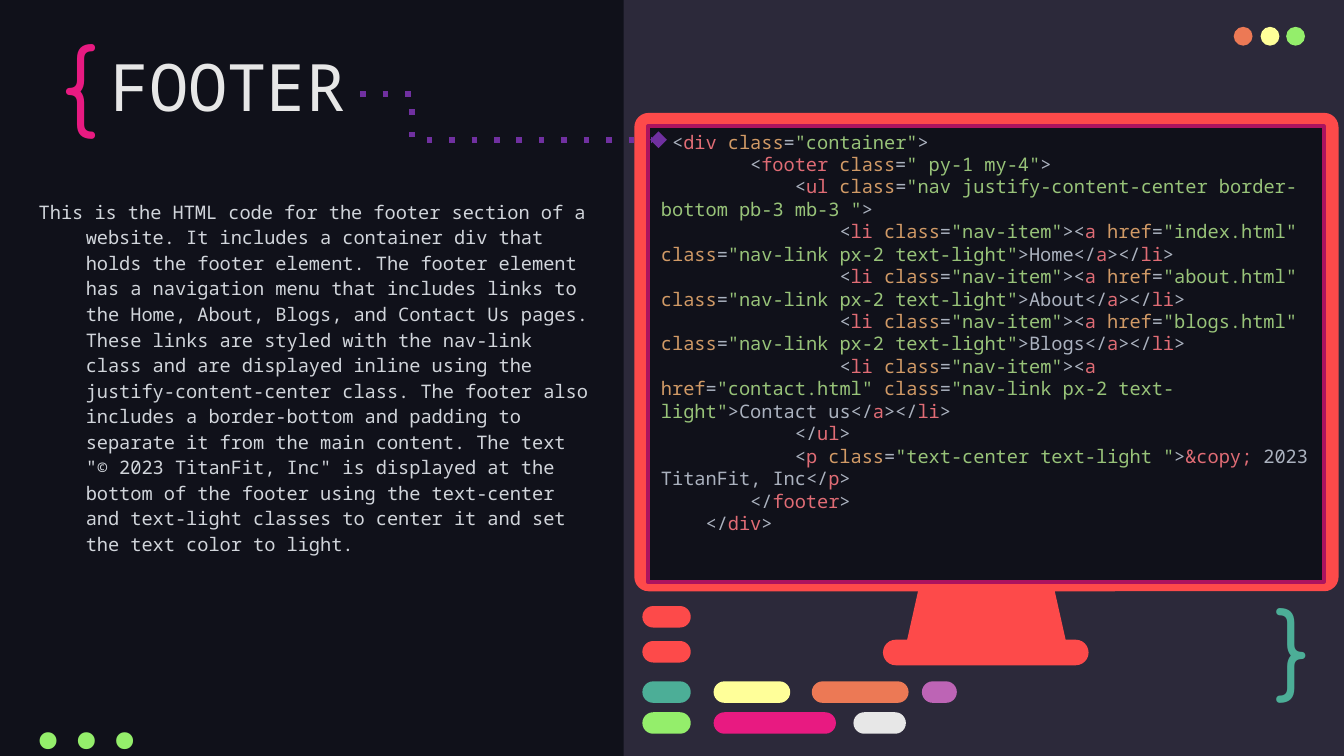
from lxml import etree
from pptx import Presentation
from pptx.dml.color import RGBColor
from pptx.enum.shapes import MSO_CONNECTOR, MSO_SHAPE
from pptx.enum.text import MSO_ANCHOR, PP_ALIGN
from pptx.oxml.ns import qn
from pptx.util import Inches, Pt

RECTANGLE = MSO_SHAPE.RECTANGLE
ROUNDED = MSO_SHAPE.ROUNDED_RECTANGLE
OVAL = MSO_SHAPE.OVAL
ELBOW = MSO_CONNECTOR.ELBOW
TOP, MIDDLE, BOTTOM = MSO_ANCHOR.TOP, MSO_ANCHOR.MIDDLE, MSO_ANCHOR.BOTTOM
LEFT, RIGHT = PP_ALIGN.LEFT, PP_ALIGN.RIGHT

WIDTH = 10
HEIGHT = WIDTH * 9 / 16
MONO = "Noto Sans Mono"
NIGHT, SLATE, CORAL = "10111A", "2C293A", "FD4A4A"
TEAL, YELLOW, ORANGE = "4CAE97", "FFFF99", "EC7955"
GREEN, PINK, ORCHID, WHITE = "94EE6B", "E81A81", "BD64B5", "E7E7E7"
PLAIN, TAG, ATTRIBUTE, STRING = "ABB2BF", "E06C75", "D19A66", "98C379"

PILL_ROWS = [
    (4.51, [(4.78, 0.36, CORAL)]),
    (4.77, [(4.78, 0.36, CORAL)]),
    (5.07, [(4.78, 0.36, TEAL), (5.31, 0.57, YELLOW), (6.04, 0.72, ORANGE), (6.86, 0.26, ORCHID)]),
    (5.3, [(4.78, 0.36, GREEN), (5.31, 0.91, PINK), (6.35, 0.39, WHITE)]),
]

EXPLANATION = (
    "This is the HTML code for the footer section of a website. It includes a container div "
    "that holds the footer element. The footer element has a navigation menu that includes "
    "links to the Home, About, Blogs, and Contact Us pages. These links are styled with the "
    "nav-link class and are displayed inline using the justify-content-center class. The "
    "footer also includes a border-bottom and padding to separate it from the main content. "
    'The text "© 2023 TitanFit, Inc" is displayed at the bottom of the footer using the '
    "text-center and text-light classes to center it and set the text color to light."
)


def color(value):
    """Turn a hex string into a colour."""
    return RGBColor.from_string(value)


def paint(shape, fill):
    """Give a shape a plain fill without outline or shadow."""
    shape.shadow.inherit = False
    shape.fill.solid()
    shape.fill.fore_color.rgb = color(fill)
    shape.line.fill.background()


def add_block(page, kind, left, top, width, height, fill, radius=None):
    """Add a plain filled preset shape."""
    block = page.shapes.add_shape(kind, Inches(left), Inches(top), Inches(width), Inches(height))
    paint(block, fill)
    if radius is not None:
        block.adjustments[0] = radius
    return block


def style(font, size, value, name=MONO):
    """Set the size, colour and typeface of a font."""
    font.size = Pt(size)
    font.color.rgb = color(value)
    font.name = name


def add_label(page, text, left, top, width, height, size, value, name=MONO, anchor=TOP, align=LEFT):
    """Add a text box with one paragraph and return that paragraph."""
    box = page.shapes.add_textbox(Inches(left), Inches(top), Inches(width), Inches(height))
    frame = box.text_frame
    frame.word_wrap = True
    frame.vertical_anchor = anchor
    frame.margin_left = frame.margin_right = Inches(0.1)
    frame.margin_top = frame.margin_bottom = Inches(0.1)
    frame.text = text
    para = frame.paragraphs[0]
    para.alignment = align
    style(para.runs[0].font, size, value, name)
    return para


def opening(name, **attributes):
    """Return the coloured spans of an opening tag."""
    spans = [("<", PLAIN), (name, TAG)]
    for key, value in attributes.items():
        spans += [(f" {key.strip('_')}", ATTRIBUTE), ("=", PLAIN), (f'"{value}"', STRING)]
    return spans + [(">", PLAIN)]


def closing(name):
    """Return the coloured spans of a closing tag."""
    return [("</", PLAIN), (name, TAG), (">", PLAIN)]


def menu_item(target, caption):
    """Return the spans of one navigation entry."""
    link = opening("a", href=target, class_="nav-link px-2 text-light")
    return opening("li", class_="nav-item") + link + [(caption, PLAIN)] + closing("a") + closing("li")


def code_lines():
    """Return each line of code as its indent and its spans."""
    menu = [("index.html", "Home"), ("about.html", "About"), ("blogs.html", "Blogs"), ("contact.html", "Contact us")]
    notice = opening("p", class_="text-center text-light ")
    notice += [("&copy;", TAG), (" 2023 TitanFit, Inc", PLAIN)] + closing("p")
    return [
        (1, opening("div", class_="container")),
        (8, opening("footer", class_=" py-1 my-4")),
        (12, opening("ul", class_="nav justify-content-center border-bottom pb-3 mb-3 ")),
        *[(16, menu_item(*entry)) for entry in menu],
        (12, closing("ul")),
        (12, notice),
        (8, closing("footer")),
        (4, closing("div")),
    ]


def add_monitor(page):
    """Add the monitor with its stand and the code on its screen."""
    builder = page.shapes.build_freeform(Inches(6.84), Inches(4.36), scale=1.0)
    corners = [(6.71, 4.94), (7.97, 4.94), (7.84, 4.36)]
    builder.add_line_segments([(Inches(x), Inches(y)) for x, y in corners])
    paint(builder.convert_to_shape(), CORAL)
    add_block(page, ROUNDED, 4.72, 0.84, 5.24, 3.56, CORAL, 0.03)
    add_block(page, ROUNDED, 6.57, 4.76, 1.53, 0.19, CORAL, 0.5)
    screen = add_block(page, RECTANGLE, 4.82, 0.94, 5.03, 3.39, NIGHT)
    screen.line.color.rgb = color("AC135F")
    screen.line.width = Pt(2)
    frame = screen.text_frame
    frame.word_wrap = True
    frame.vertical_anchor = TOP
    frame.margin_top = Inches(0.03)
    for index, (indent, spans) in enumerate(code_lines()):
        para = frame.add_paragraph() if index else frame.paragraphs[0]
        para.alignment = LEFT
        for text, value in [(" " * indent, PLAIN)] + spans:
            span = para.add_run()
            span.text = text
            style(span.font, 10, value)


def add_dotted_link(page):
    """Add the dotted elbow line from the title to the code."""
    link = page.shapes.add_connector(ELBOW, Inches(2.68), Inches(0.7), Inches(4.9), Inches(1.04))
    link.line.color.rgb = color("7030A0")
    link.line.width = Pt(3)
    properties = link._element.spPr
    outline = properties.find(qn("a:ln"))
    etree.SubElement(outline, qn("a:prstDash"), val="dot")
    etree.SubElement(outline, qn("a:tailEnd"), type="diamond")
    etree.SubElement(properties, qn("a:effectLst"))
    guides = properties.find(qn("a:prstGeom")).get_or_add_avLst()
    etree.SubElement(guides, qn("a:gd"), name="adj1", fmla="val 17400")


def main():
    """Build the slide and save it."""
    deck = Presentation()
    deck.slide_width, deck.slide_height = Inches(WIDTH), Inches(HEIGHT)
    page = deck.slides.add_slide(deck.slide_layouts[6])
    page.background.fill.solid()
    page.background.fill.fore_color.rgb = color(NIGHT)

    add_block(page, RECTANGLE, 4.64, 0, WIDTH - 4.64, HEIGHT, SLATE)
    add_monitor(page)
    add_label(page, "FOOTER", 0.72, 0.15, 3.55, 0.88, 35, WHITE, anchor=BOTTOM)
    for left, fill in [(9.18, ORANGE), (9.38, YELLOW), (9.57, GREEN)]:
        add_block(page, OVAL, left, 0.2, 0.14, 0.14, fill)
    add_label(page, "{", 0.36, 0.08, 0.77, 0.95, 50, PINK, "Comfortaa")
    add_label(page, "}", 9.39, 4.38, 0.57, 0.83, 50, TEAL, "Comfortaa", MIDDLE)
    add_label(page, "...", -0.19, 5.21, 1.58, 0.6, 50, GREEN, "Fira Code", BOTTOM, RIGHT)
    for top, pills in PILL_ROWS:
        for left, width, fill in pills:
            add_block(page, ROUNDED, left, top, width, 0.16, fill, 0.5)

    body = add_label(page, EXPLANATION, 0.04, 1.37, 4.44, 4.1, 10, "D1D5DB")
    body.line_spacing = 1.14
    indents = body._p.get_or_add_pPr()
    indents.set("marL", str(Inches(0.5)))
    indents.set("indent", str(Inches(-0.35)))

    add_dotted_link(page)
    deck.save("out.pptx")


if __name__ == "__main__":
    main()
